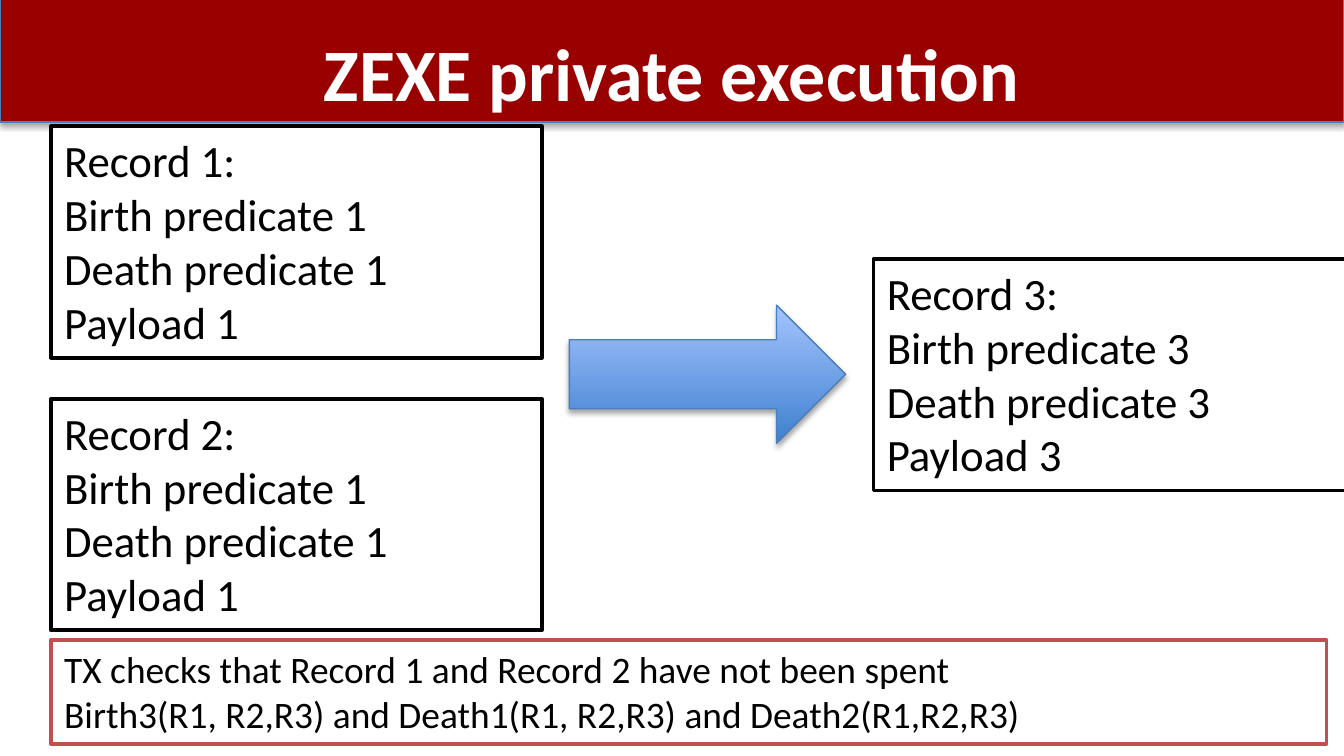
from dataclasses import dataclass

from lxml import etree
from pptx import Presentation
from pptx.dml.color import RGBColor
from pptx.enum import shapes, text
from pptx.oxml import ns
from pptx.util import Pt

FONT = "Calibri"
COLORS = {
    "banner": "990000",
    "edge": "4B7EBC",
    "arrow_dark": "3F80CE",
    "arrow_light": "A4C4FF",
    "check": "C0504D",
    "black": "000000",
    "white": "FFFFFF",
}


@dataclass
class Box:
    left: float
    top: float
    width: float
    height: float
    lines: list[str]
    size: float = 24
    border: str = "black"


def rgb(name: str) -> RGBColor:
    return RGBColor.from_string(COLORS[name])


def add_run(p, words: str, size: float, color: str, bold: bool = False) -> None:
    r = p.add_run()
    r.text = words
    r.font.name = FONT
    r.font.size = Pt(size)
    r.font.bold = bold
    r.font.color.rgb = rgb(color)


def add_preset(s, kind, left: float, top: float, width: float, height: float,
               border: str, weight: float):
    sp = s.shapes.add_shape(kind, Pt(left), Pt(top), Pt(width), Pt(height))
    sp.shadow.inherit = False
    sp.line.color.rgb = rgb(border)
    sp.line.width = Pt(weight)
    return sp


def add_shadow(sp) -> None:
    """Fill the empty effect list with a soft shadow falling downwards."""
    effects = sp._element.spPr.find(ns.qn("a:effectLst"))
    shadow = etree.SubElement(effects, ns.qn("a:outerShdw"), blurRad=str(Pt(3.1)),
                              dist=str(Pt(1.8)), dir="5400000", rotWithShape="0")
    color = etree.SubElement(shadow, ns.qn("a:srgbClr"), val=COLORS["black"])
    etree.SubElement(color, ns.qn("a:alpha"), val="35000")


def add_box(s, box: Box) -> None:
    sp = add_preset(s, shapes.MSO_SHAPE.RECTANGLE, box.left, box.top,
                    box.width, box.height, box.border, 2)
    sp.fill.solid()
    sp.fill.fore_color.rgb = rgb("white")
    tf = sp.text_frame
    tf.word_wrap = True
    tf.vertical_anchor = text.MSO_ANCHOR.TOP
    for i, line in enumerate(box.lines):
        p = tf.add_paragraph() if i else tf.paragraphs[0]
        p.alignment = text.PP_ALIGN.LEFT
        add_run(p, line, box.size, "black")


def record(left: float, top: float, number: int, predicate: int) -> Box:
    return Box(left, top, 263, 124, [
        f"Record {number}:",
        f"Birth predicate {predicate}",
        f"Death predicate {predicate}",
        f"Payload {predicate}",
    ])


def add_banner(s) -> None:
    sp = add_preset(s, shapes.MSO_SHAPE.RECTANGLE, 0, -0.5, 720, 66, "edge", 0.75)
    sp.fill.solid()
    sp.fill.fore_color.rgb = rgb("banner")
    add_shadow(sp)
    s.shapes._spTree.insert(2, sp._element)  # behind the title


def add_title(s, words: str) -> None:
    sp = s.shapes.title
    sp.left, sp.top, sp.width, sp.height = Pt(36), Pt(10), Pt(648), Pt(49)
    tf = sp.text_frame
    tf.word_wrap = True
    tf.auto_size = text.MSO_AUTO_SIZE.NONE
    tf.vertical_anchor = text.MSO_ANCHOR.TOP
    tf.margin_top, tf.margin_bottom = Pt(4.8), Pt(0)
    p = tf.paragraphs[0]
    p.alignment = text.PP_ALIGN.CENTER
    add_run(p, words, 39.6, "white", bold=True)


def add_arrow(s) -> None:
    sp = add_preset(s, shapes.MSO_SHAPE.RIGHT_ARROW, 305, 163.5, 148, 74, "edge", 0.75)
    sp.fill.gradient()
    sp.fill.gradient_angle = 90
    for stop, color in zip(sp.fill.gradient_stops, ("arrow_dark", "arrow_light")):
        stop.color.rgb = rgb(color)
    add_shadow(sp)


def main() -> None:
    prs = Presentation()
    prs.slide_width, prs.slide_height = Pt(720), Pt(405)
    s = prs.slides.add_slide(prs.slide_layouts[5])
    add_banner(s)
    add_title(s, "ZEXE private execution")
    add_box(s, record(27.3, 67.7, 1, 1))
    add_box(s, record(27.3, 213.7, 2, 1))
    add_arrow(s)
    add_box(s, record(468, 138.8, 3, 3))
    add_box(s, Box(27.3, 342.8, 683.3, 55.7, [
        "TX checks that Record 1 and Record 2 have not been spent",
        "Birth3(R1, R2,R3) and Death1(R1, R2,R3) and Death2(R1,R2,R3)",
    ], size=20, border="check"))
    prs.save("out.pptx")


if __name__ == "__main__":
    main()
